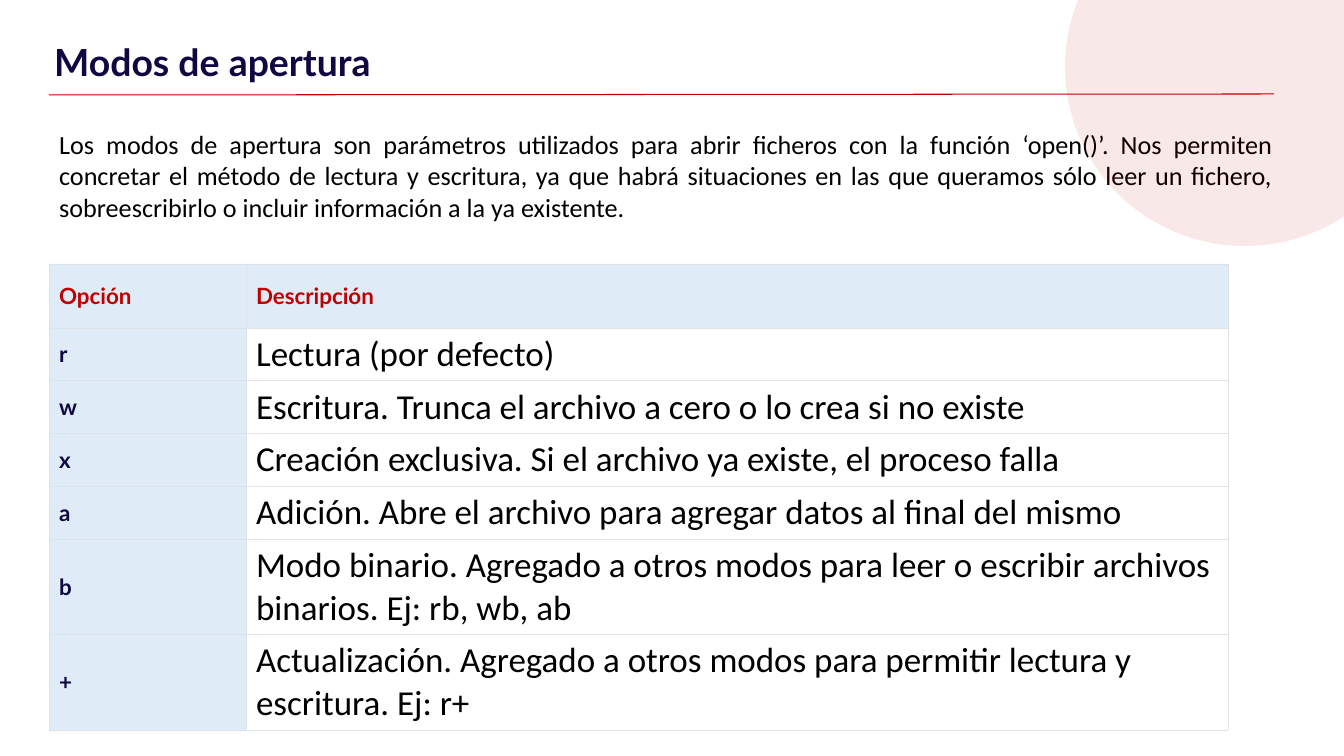
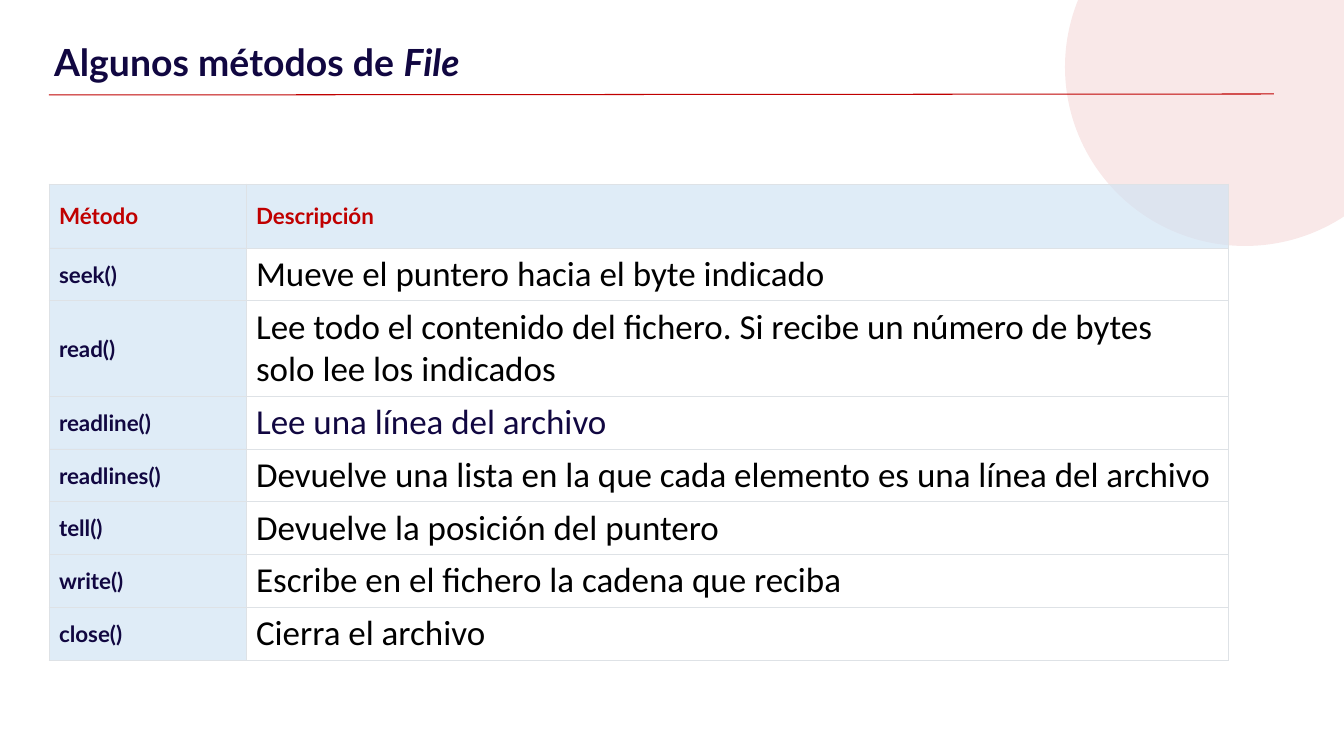
"""Two slides on opening modes and file methods, each with a ruled title and a table."""
from math import ceil

from lxml.etree import SubElement
from pptx import Presentation
from pptx.dml.color import RGBColor
from pptx.enum.shapes import MSO_CONNECTOR as Connector, MSO_SHAPE as Shape
from pptx.enum.text import MSO_ANCHOR as Anchor, MSO_AUTO_SIZE as AutoSize, PP_ALIGN as Align
from pptx.oxml.ns import qn
from pptx.util import Pt

SLIDES = [
    {
        "title": [("Modos de apertura", False)],
        "intro": "Los modos de apertura son parámetros utilizados para abrir ficheros con la "
                 "función ‘open()’. Nos permiten concretar el método de lectura y escritura, ya "
                 "que habrá situaciones en las que queramos sólo leer un fichero, "
                 "sobreescribirlo o incluir información a la ya existente.",
        "table_top": 264,
        "header": ("Opción", "Descripción"),
        "rows": [
            ("r", "Lectura (por defecto)"),
            ("w", "Escritura. Trunca el archivo a cero o lo crea si no existe"),
            ("x", "Creación exclusiva. Si el archivo ya existe, el proceso falla"),
            ("a", "Adición. Abre el archivo para agregar datos al final del mismo"),
            ("b", "Modo binario. Agregado a otros modos para leer o escribir archivos "
                  "binarios. Ej: rb, wb, ab"),
            ("+", "Actualización. Agregado a otros modos para permitir lectura y "
                  "escritura. Ej: r+"),
        ],
    },
    {
        "title": [("Algunos métodos de ", False), ("File", True)],
        "intro": None,
        "table_top": 184,
        "header": ("Método", "Descripción"),
        "rows": [
            ("seek()", "Mueve el puntero hacia el byte indicado"),
            ("read()", "Lee todo el contenido del fichero. Si recibe un número de bytes solo "
                       "lee los indicados"),
            ("readline()", "Lee una línea del archivo"),
            ("readlines()", "Devuelve una lista en la que cada elemento es una línea del archivo"),
            ("tell()", "Devuelve la posición del puntero"),
            ("write()", "Escribe en el fichero la cadena que reciba"),
            ("close()", "Cierra el archivo"),
        ],
        "highlight": "readline()",
    },
]

THEME = {
    "accent": "C00000", "tint": "CFE2F3", "paper": "FFFFFF", "border": "DEE2E6",
    "accent_alpha": 9, "tint_alpha": 65, "line": 0.75,
    "title": {"name": "Lato", "size": 26.7, "bold": True, "color": "110741"},
    "header": {"name": "Lato", "size": 16, "bold": True, "color": "C00000"},
    "key": {"name": "Lato", "size": 16, "bold": True, "color": "110741"},
    "description": {"name": "Calibri", "size": 25, "bold": False, "color": "000000"},
    "highlight": {"name": "Calibri", "size": 25, "bold": False, "color": "110741"},
    "intro": {"name": "Calibri", "size": 18.7, "bold": False, "color": "000000"},
}

EMU_PER_PX = 914400 / 100.8
SLIDE_SIZE = (1344, 756)
CIRCLE_BOX = (1065, -112, 360, 358)
RULE_ENDS = (49, 95, 1274, 94)
TITLE_BOX = (41, 0, 1156, 78)
INTRO_BOX = (49, 123, 1234, 99)
TABLE_LEFT, COLUMNS = 49, (197, 982)
HEADER_HEIGHT, ROW_HEIGHT, EXTRA_LINE, CHARS_PER_LINE = 64, 51, 43, 68


def px(*lengths):
    return [round(length * EMU_PER_PX) for length in lengths]


def rgb(code):
    return RGBColor.from_string(code)


def apply(target, formats):
    for attribute, value in formats.items():
        setattr(target, attribute, value)


def add_run(paragraph, text, style, italic=False):
    run = paragraph.add_run()
    run.text = text
    apply(run.font, {"name": style["name"], "size": Pt(style["size"]),
                     "bold": style["bold"], "italic": italic})
    run.font.color.rgb = rgb(style["color"])


def set_alpha(properties, percent):
    color = properties.find(qn("a:solidFill")).find(qn("a:srgbClr"))
    SubElement(color, qn("a:alpha"), val=str(percent * 1000))


def place(shape, box):
    apply(shape, dict(zip(("left", "top", "width", "height"), px(*box))))


def add_backdrop(slide):
    circle = slide.shapes.add_shape(Shape.OVAL, *px(*CIRCLE_BOX))
    circle.shadow.inherit = False
    circle.fill.solid()
    circle.fill.fore_color.rgb = rgb(THEME["accent"])
    set_alpha(circle.element.spPr, THEME["accent_alpha"])
    circle.line.fill.background()
    rule = slide.shapes.add_connector(Connector.STRAIGHT, *px(*RULE_ENDS))
    rule.line.color.rgb = rgb(THEME["accent"])
    rule.line.width = Pt(THEME["line"])
    SubElement(rule.element.spPr, qn("a:effectLst"))


def fill_title(title, parts):
    place(title, TITLE_BOX)
    side, top = px(13, 39)
    apply(title.text_frame, {"auto_size": AutoSize.NONE, "word_wrap": True,
                             "vertical_anchor": Anchor.TOP, "margin_left": side,
                             "margin_right": side, "margin_top": top, "margin_bottom": 0})
    paragraph = title.text_frame.paragraphs[0]
    paragraph.alignment = Align.LEFT
    for text, italic in parts:
        add_run(paragraph, text, THEME["title"], italic)


def fill_intro(body, text):
    place(body, INTRO_BOX)
    apply(body.text_frame, {"auto_size": AutoSize.NONE, "word_wrap": True,
                            "vertical_anchor": Anchor.TOP})
    paragraph = body.text_frame.paragraphs[0]
    apply(paragraph, {"alignment": Align.JUSTIFY, "space_before": Pt(0)})
    properties = paragraph._p.get_or_add_pPr()
    apply_indent = {"marL": "0", "indent": "0"}
    properties.attrib.update(apply_indent)
    SubElement(properties, qn("a:buNone"))
    add_run(paragraph, text, THEME["intro"])


def fill_cell(cell, text, style, tinted, anchor):
    properties = cell._tc.get_or_add_tcPr()
    for side in ("lnL", "lnR", "lnT", "lnB"):
        border = SubElement(properties, qn(f"a:{side}"), w=str(Pt(THEME["line"])))
        paint = SubElement(border, qn("a:solidFill"))
        SubElement(paint, qn("a:srgbClr"), val=THEME["border"])
    cell.fill.solid()
    cell.fill.fore_color.rgb = rgb(THEME["tint" if tinted else "paper"])
    if tinted:
        set_alpha(properties, THEME["tint_alpha"])
    cell.vertical_anchor = anchor
    add_run(cell.text_frame.paragraphs[0], text, THEME[style])


def add_reference(slide, content):
    rows = [content["header"], *content["rows"]]
    heights = [HEADER_HEIGHT] + [
        ROW_HEIGHT + EXTRA_LINE * (ceil(len(description) / CHARS_PER_LINE) - 1)
        for _, description in content["rows"]]
    box = px(TABLE_LEFT, content["table_top"], sum(COLUMNS), sum(heights))
    table = slide.shapes.add_table(len(rows), len(COLUMNS), *box).table
    apply(table, {"first_row": False, "horz_banding": False})
    for column, width in zip(table.columns, px(*COLUMNS)):
        column.width = width
    for index, ((key, description), height) in enumerate(zip(rows, px(*heights))):
        table.rows[index].height = height
        is_header = index == 0
        marked = key == content.get("highlight")
        key_style = "header" if is_header else "key"
        text_style = "header" if is_header else "highlight" if marked else "description"
        fill_cell(table.cell(index, 0), key, key_style, True, Anchor.MIDDLE)
        fill_cell(table.cell(index, 1), description, text_style, is_header,
                  Anchor.MIDDLE if is_header else Anchor.TOP)


def main():
    deck = Presentation()
    deck.slide_width, deck.slide_height = px(*SLIDE_SIZE)
    title_and_body, title_only = deck.slide_layouts[1], deck.slide_layouts[5]
    for content in SLIDES:
        slide = deck.slides.add_slide(title_and_body if content["intro"] else title_only)
        add_backdrop(slide)
        fill_title(slide.shapes.title, content["title"])
        if content["intro"]:
            fill_intro(slide.placeholders[1], content["intro"])
        add_reference(slide, content)
    deck.save("out.pptx")


if __name__ == "__main__":
    main()
